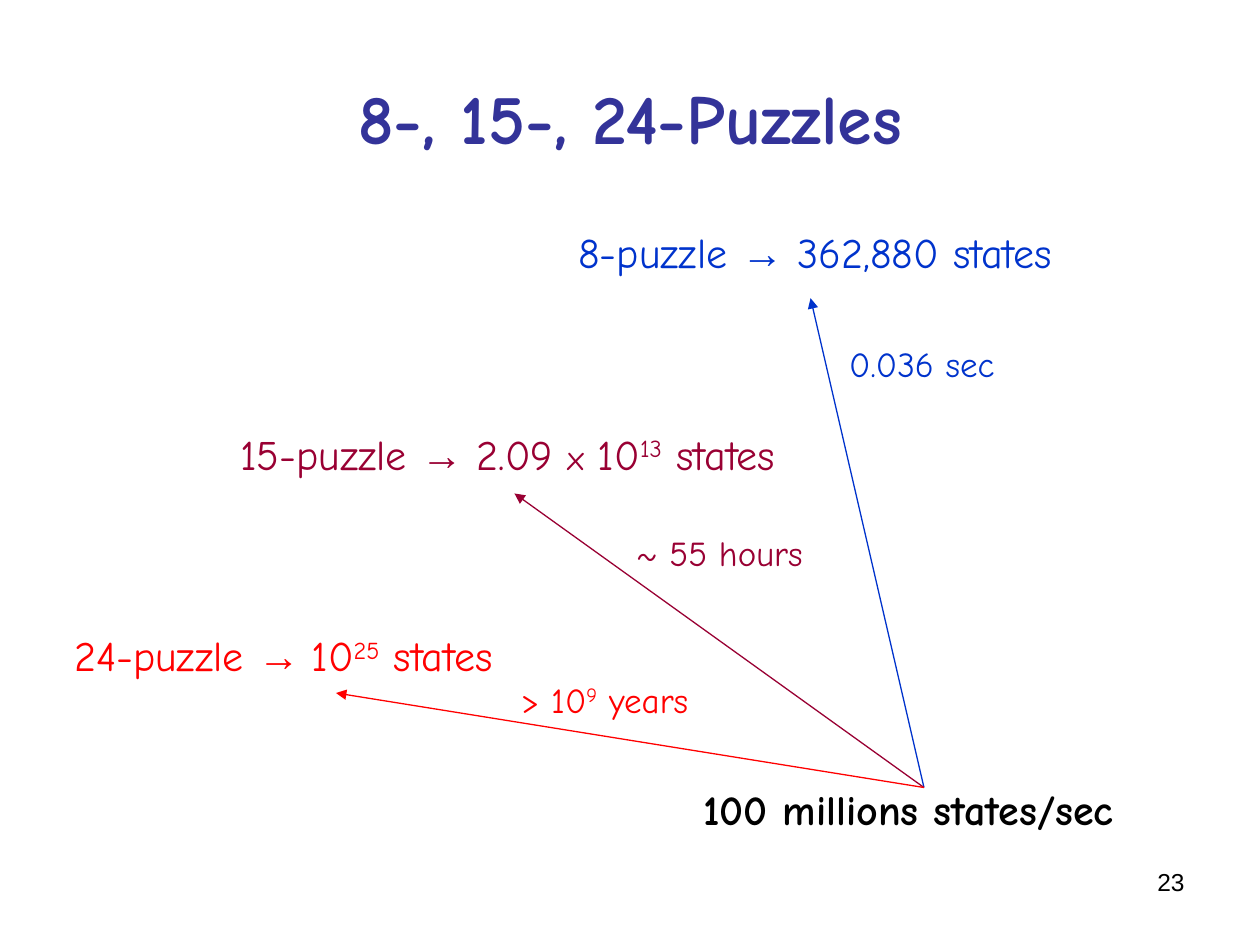
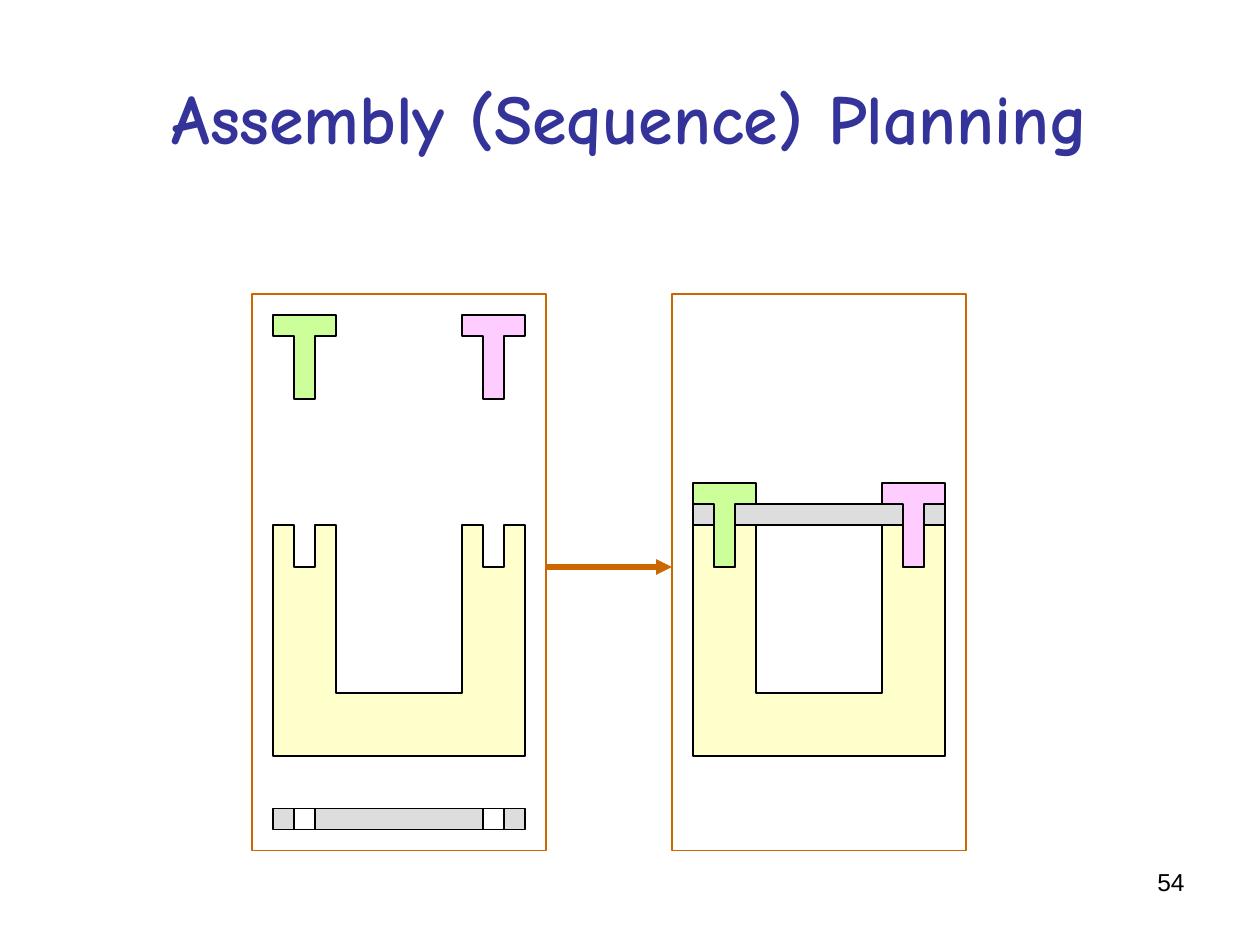
from lxml import etree
from pptx import Presentation
from pptx import util as u
from pptx.dml.color import RGBColor
from pptx.enum import shapes, text
from pptx.oxml.ns import qn

# Shared grid (60 columns by 45 rows), fonts and colours
CELL = u.Inches(10) // 60
BODY_FONT, SYMBOL_FONT = "Comic Neue", "Arial"
TITLE_COLOUR, INK, WHITE = "333399", "000000", "FFFFFF"
BLUE, MAROON, RED, ORANGE = "0033CC", "990033", "FF0000", "CC6600"
colour = RGBColor.from_string


def write(page, area, spans, size, ink, bold=False, font=BODY_FONT,
          align=text.PP_ALIGN.LEFT, anchor=text.MSO_ANCHOR.TOP):
    """Add a text box; each span is (wording, style), style "sup", "small" or ""."""
    box = page.shapes.add_textbox(*[round(n * CELL) for n in area])
    frame = box.text_frame
    frame.word_wrap = True
    frame.vertical_anchor = anchor
    para = frame.paragraphs[0]
    para.alignment = align
    for wording, style in spans:
        span = para.add_run()
        span.text = wording
        span.font.name = SYMBOL_FONT if "→" in wording else font
        span.font.size = u.Pt(20 if style == "small" else size)
        span.font.bold = bold
        span.font.color.rgb = colour(ink)
        if style == "sup":
            span._r.get_or_add_rPr().set("baseline", "30000")


def draw_arrow(page, start, end, ink, weight):
    """Add a straight arrow between two grid points."""
    arrow = page.shapes.add_connector(
        shapes.MSO_CONNECTOR.STRAIGHT, *[round(n * CELL) for n in start + end])
    arrow.line.color.rgb = colour(ink)
    arrow.line.width = u.Pt(weight)
    etree.SubElement(arrow.line._get_or_add_ln(), qn("a:tailEnd"), type="triangle")
    etree.SubElement(arrow._element.spPr, qn("a:effectLst"))


deck = Presentation()
deck.slide_width, deck.slide_height = 60 * CELL, 45 * CELL

# Both slides: title and page number
pages = []
for title, number in [("8-, 15-, 24-Puzzles", "23"),
                      ("Assembly (Sequence) Planning", "54")]:
    page = deck.slides.add_slide(deck.slide_layouts[6])
    write(page, (3, 1.8, 54, 7.5), [(title, "")], 40, TITLE_COLOUR, bold=True,
          align=text.PP_ALIGN.CENTER, anchor=text.MSO_ANCHOR.MIDDLE)
    write(page, (43, 41, 14, 3), [(number, "")], 14, INK, font=SYMBOL_FONT,
          align=text.PP_ALIGN.RIGHT)
    pages.append(page)
puzzle_page, assembly_page = pages

# Puzzle sizes: label, arrow from the search speed, and search time
puzzles = [
    (BLUE, 26.95, [("8-puzzle ", ""), ("→", ""), (" 362,880 states", "")],
     (38.6, 14.2), (39.85, 16), [("0.036 sec", "")]),
    (MAROON, 10.85, [("15-puzzle ", ""), ("→", ""), (" 2.09 ", ""), ("x", "small"),
                     (" 10", ""), ("13", "sup"), (" states", "")],
     (24.5, 23.5), (29.7, 25), [("~ 55 hours", "")]),
    (RED, 2.95, [("24-puzzle ", ""), ("→ ", ""), ("10", ""), ("25", "sup"),
                 (" states", "")],
     (16, 33), (24.2, 32), [("> 10", ""), ("9", "sup"), (" years", "")]),
]
speed_point = (44, 37.5)
for row, (ink, left, label, tip, time_spot, time) in enumerate(puzzles):
    write(puzzle_page, (left, 10.5 + 9.6 * row, 30, 3), label, 24, ink)
    draw_arrow(puzzle_page, speed_point, tip, ink, 0.75)
    write(puzzle_page, time_spot + (12, 2.6), time, 20, ink)
write(puzzle_page, (32.9, 37, 24, 3), [("100 millions states/sec", "")], 24, INK,
      bold=True)

# Assembly parts: outlines in cells from each part's own top left corner
BASE = [(0, 0), (1, 0), (1, 2), (2, 2), (2, 0), (3, 0), (3, 8), (9, 8), (9, 0),
        (10, 0), (10, 2), (11, 2), (11, 0), (12, 0), (12, 11), (0, 11)]
BOLT = [(0, 0), (3, 0), (3, 1), (2, 1), (2, 4), (1, 4), (1, 1), (0, 1)]

# Loose parts in the left frame, assembled parts in the right one
for frame_left, bolt_top, plate_top in [(12, 15, 38.5), (32, 23, 24)]:
    left = frame_left + 1
    parts = [
        (BASE, left, 25, "FFFFCC", INK),
        ((12, 1), left, plate_top, "DDDDDD", INK),
        ((1, 1), left + 10, plate_top, WHITE, INK),
        ((1, 1), left + 1, plate_top, WHITE, INK),
        (BOLT, left, bolt_top, "CCFF99", INK),
        (BOLT, left + 9, bolt_top, "FFCCFF", INK),
        ((14, 26.5), frame_left, 14, None, ORANGE),
    ]
    for outline, x, y, fill, ink in parts:
        if isinstance(outline, list):
            points = [(x + dx, y + dy) for dx, dy in outline]
            builder = assembly_page.shapes.build_freeform(*points[0], scale=CELL)
            builder.add_line_segments(points[1:], close=True)
            part = builder.convert_to_shape()
        else:
            part = assembly_page.shapes.add_shape(
                shapes.MSO_SHAPE.RECTANGLE,
                *[round(n * CELL) for n in (x, y) + outline])
        part.shadow.inherit = False
        part.line.color.rgb = colour(ink)
        part.line.width = u.Pt(0.75)
        if fill:
            part.fill.solid()
            part.fill.fore_color.rgb = colour(fill)
        else:
            part.fill.background()

# Step from loose to assembled
draw_arrow(assembly_page, (26, 27), (32, 27), ORANGE, 3)

deck.save("out.pptx")
